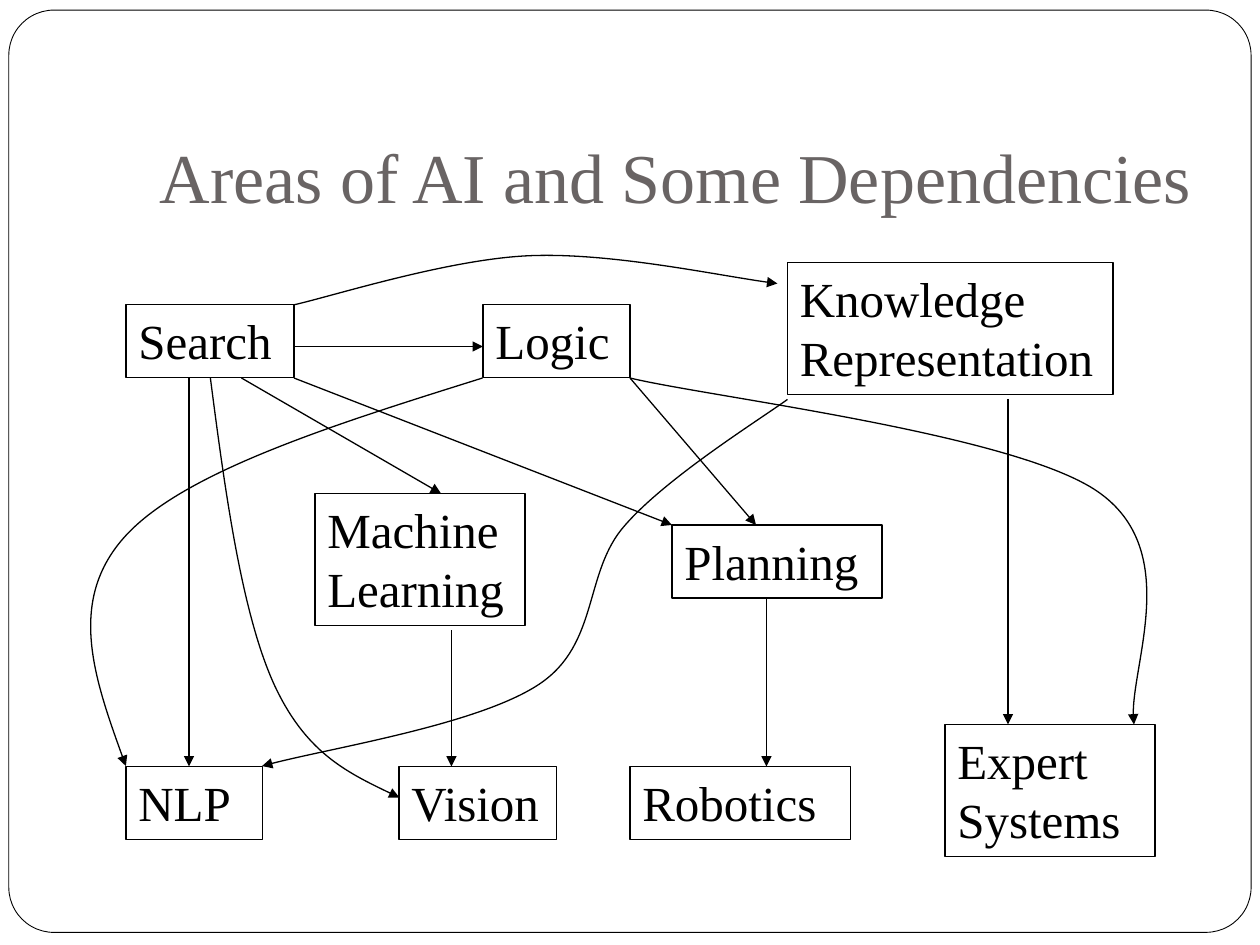
from lxml.etree import SubElement
from pptx import Presentation
from pptx.dml.color import RGBColor
from pptx.enum.shapes import MSO_CONNECTOR as Connector, MSO_SHAPE as Shape
from pptx.enum.text import MSO_ANCHOR as Anchor, MSO_AUTO_SIZE as AutoSize, PP_ALIGN as Align
from pptx.oxml.ns import qn
from pptx.util import Inches, Pt

BLACK = RGBColor(0x00, 0x00, 0x00)
WHITE = RGBColor(0xFF, 0xFF, 0xFF)
TITLE_GRAY = RGBColor(0x69, 0x64, 0x64)

GRID = Inches(1) // 12  # boxes and straight arrows sit on twelfths of an inch


def write_text(shape, text, size, color, frame_format):
    frame = shape.text_frame
    for name, value in frame_format.items():
        setattr(frame, name, value)
    paragraph = frame.paragraphs[0]
    paragraph.text = text
    paragraph.alignment = Align.LEFT
    font = paragraph.runs[0].font
    for name, value in {"name": "Times New Roman", "size": Pt(size)}.items():
        setattr(font, name, value)
    font.color.rgb = color


def style_arrow(shape):
    shape.line.color.rgb = BLACK
    shape.line.width = Pt(0.75)
    SubElement(shape.line._get_or_add_ln(), qn("a:tailEnd"), type="triangle")


presentation = Presentation()
presentation.slide_width = Inches(10)
presentation.slide_height = Inches(7.5)
slide = presentation.slides.add_slide(presentation.slide_layouts[6])
shapes = slide.shapes

# Rounded page frame
page_frame = shapes.add_shape(
    Shape.ROUNDED_RECTANGLE, Inches(0.07), Inches(0.08), Inches(9.86), Inches(7.32))
page_frame.adjustments[0] = 0.049
page_frame.shadow.inherit = False
page_frame.fill.solid()
page_frame.fill.fore_color.rgb = WHITE
page_frame.line.color.rgb = BLACK
page_frame.line.width = Pt(0.5)

# Title
title = shapes.add_textbox(Inches(1.17), Inches(0.23), Inches(8.61), Inches(1.6))
write_text(title, "Areas of AI and Some Dependencies", 40, TITLE_GRAY, {
    "word_wrap": True,
    "vertical_anchor": Anchor.BOTTOM,
    "margin_bottom": Inches(0.1),
})

# Area boxes: name, then left, top and width in grid units, lines of text
areas = [
    ("Search", 12, 29, 16, 1),
    ("Vision", 38, 73, 15, 1),
    ("Planning", 64, 50, 20, 1),
    ("Machine Learning", 30, 47, 20, 2),
    ("Knowledge Representation", 75, 25, 31, 2),
    ("Logic", 46, 29, 14, 1),
    ("Expert Systems", 90, 69, 20, 2),
    ("Robotics", 60, 73, 21, 1),
    ("NLP", 12, 73, 13, 1),
]
box_heights = {1: Inches(0.58), 2: Inches(1.05)}
for name, left, top, width, line_count in areas:
    box = shapes.add_shape(
        Shape.RECTANGLE, left * GRID, top * GRID, width * GRID, box_heights[line_count])
    box.shadow.inherit = False
    box.fill.background()
    box.line.color.rgb = BLACK
    box.line.width = Pt(0.75)
    write_text(box, name, 28, BLACK, {
        "word_wrap": True,
        "vertical_anchor": Anchor.TOP,
        "auto_size": AutoSize.SHAPE_TO_FIT_TEXT,
    })

# Straight dependencies in grid units: start x, start y, end x, end y
straight_arrows = [
    (18, 36, 18, 73),  # Search to NLP
    (28, 33, 46, 33),  # Search to Logic
    (28, 36, 64, 50),  # Search to Planning
    (23, 36, 42, 47),  # Search to Machine Learning
    (60, 36, 72, 50),  # Logic to Planning
    (96, 38, 96, 69),  # Knowledge Representation to Expert Systems
    (43, 60, 43, 73),  # Machine Learning to Vision
    (73, 57, 73, 73),  # Planning to Robotics
]
for ends in straight_arrows:
    arrow = shapes.add_connector(Connector.STRAIGHT, *(end * GRID for end in ends))
    style_arrow(arrow)
    SubElement(arrow._element.spPr, qn("a:effectLst"))

# Curved dependencies in inches: start, then two control points and an end per piece
curved_arrows = [
    # Search to Knowledge Representation
    [(2.33, 2.42), (2.64, 2.35), (3.55, 2.06), (4.19, 2.03),
     (4.83, 2), (5.76, 2.2), (6.17, 2.25)],
    # Search to Vision
    [(1.67, 3), (1.79, 3.93), (1.92, 4.86), (2.17, 5.42),
     (2.42, 5.97), (2.79, 6.15), (3.17, 6.33)],
    # Logic to NLP
    [(3.83, 3), (2.65, 3.37), (1.47, 3.74), (1, 4.25),
     (0.53, 4.76), (0.76, 5.42), (1, 6.08)],
    # Logic to Expert Systems
    [(5, 3), (5.62, 3.15), (8.04, 3.44), (8.71, 3.9),
     (9.38, 4.36), (8.94, 5.36), (9, 5.75)],
    # Knowledge Representation to NLP
    [(6.25, 3.17), (6.03, 3.33), (5.29, 3.79), (4.96, 4.17),
     (4.63, 4.54), (4.76, 5.11), (4.28, 5.43),
     (3.8, 5.75), (2.54, 5.95), (2.08, 6.08)],
]
for points in curved_arrows:
    start, *vertices = [(Inches(x), Inches(y)) for x, y in points]
    builder = shapes.build_freeform(*start)
    builder.add_line_segments(vertices, close=False)
    curve = builder.convert_to_shape()

    # Turn every three line segments into one Bezier piece
    outline = curve._element.find(".//" + qn("a:path"))
    segments = outline.findall(qn("a:lnTo"))
    for first in range(0, len(segments), 3):
        bezier = SubElement(outline, qn("a:cubicBezTo"))
        for segment in segments[first:first + 3]:
            bezier.append(segment[0])
            outline.remove(segment)

    curve.shadow.inherit = False
    curve.fill.background()
    style_arrow(curve)

presentation.save("out.pptx")
